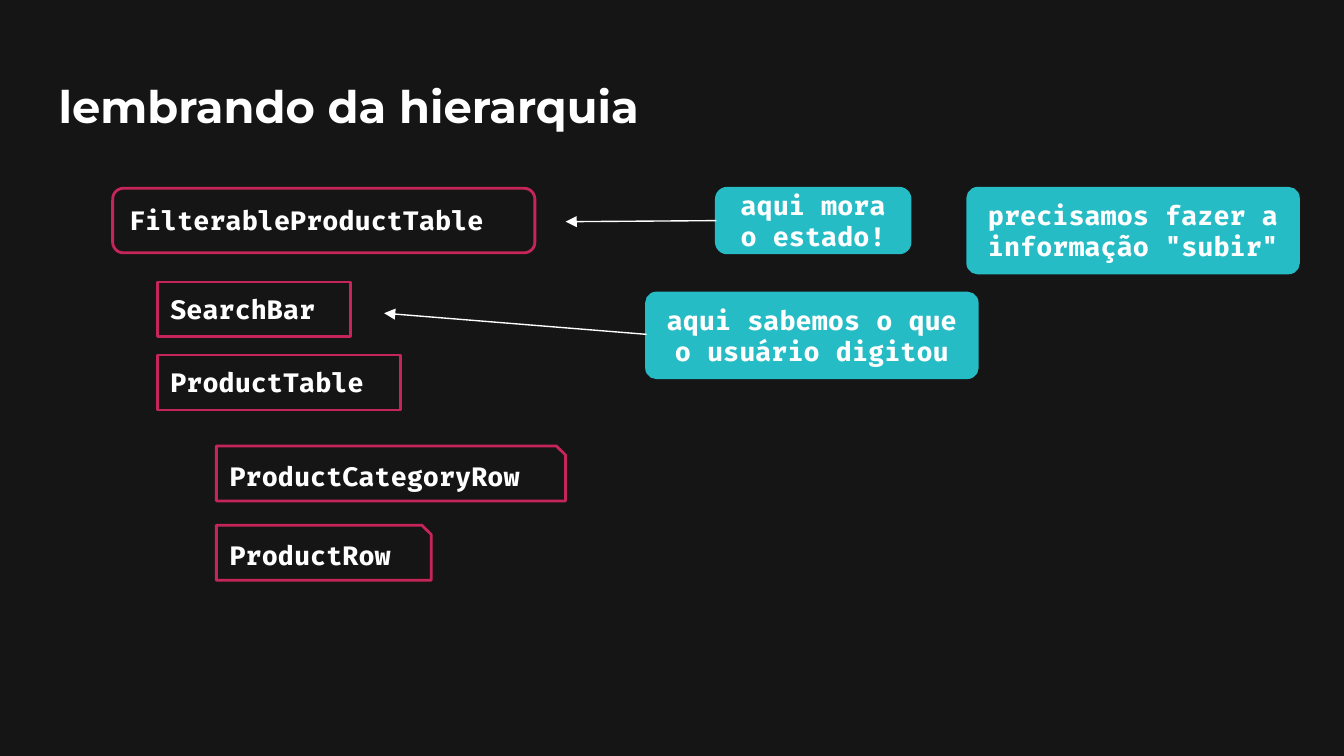
import pptx
import pptx.util
import pptx.dml.color
import pptx.enum.shapes
import pptx.enum.text
import pptx.oxml.ns
from lxml import etree

Cm, Pt = pptx.util.Cm, pptx.util.Pt
RGBColor = pptx.dml.color.RGBColor
SHAPE = pptx.enum.shapes.MSO_SHAPE
ALIGN = pptx.enum.text.PP_ALIGN
ANCHOR = pptx.enum.text.MSO_ANCHOR

BACKGROUND = RGBColor(0x15, 0x15, 0x15)
WHITE = RGBColor(0xFF, 0xFF, 0xFF)
PINK = RGBColor(0xC6, 0x25, 0x5A)
TEAL = RGBColor(0x25, 0xBC, 0xC6)

TITLE = "lembrando da hierarquia"
TITLE_BOX = (0.86, 1.24, 23.67, 1.6)
TITLE_FONT = {"name": "Montserrat", "size": Pt(24), "bold": True}
CODE_FONT = {"name": "Fira Code", "size": Pt(14), "bold": True}

TOP_ROW = 3.56
LEVEL_LEFT = (2.13, 2.97, 4.09)
LEVEL_SHAPE = (SHAPE.ROUNDED_RECTANGLE, SHAPE.RECTANGLE, SHAPE.SNIP_1_RECTANGLE)
LEVEL_HEIGHT = (1.22, 1.04, 1.04)

# name, level in the hierarchy, top, width
COMPONENTS = [
    ("FilterableProductTable", 0, TOP_ROW, 7.98),
    ("SearchBar", 1, 5.33, 3.66),
    ("ProductTable", 1, 6.71, 4.6),
    ("ProductCategoryRow", 2, 8.43, 6.6),
    ("ProductRow", 2, 9.93, 4.06),
]
# text, box, corner radius as a share of the height
NOTES = [
    ("aqui mora o estado!", (13.54, TOP_ROW, 3.66, 1.22), 0.167),
    ("aqui sabemos o que o usuário digitou", (12.22, 5.54, 6.25, 1.6), 0.117),
    ('precisamos fazer a informação "subir"', (18.29, TOP_ROW, 6.25, 1.6), 0.117),
]
# from x, from y, to x, to y
ARROWS = [(13.54, 4.17, 10.69, 4.19), (12.22, 6.32, 7.26, 5.92)]


def write_text(shape, text, font, alignment, anchor):
    frame = shape.text_frame
    frame_format = {"word_wrap": True, "vertical_anchor": anchor}
    for side in ("left", "top", "right", "bottom"):
        frame_format[f"margin_{side}"] = Cm(0.25)
    for name, value in frame_format.items():
        setattr(frame, name, value)
    paragraph = frame.paragraphs[0]
    paragraph.alignment = alignment
    run = paragraph.add_run()
    run.text = text
    for name, value in font.items():
        setattr(run.font, name, value)
    run.font.color.rgb = WHITE


def add_box(slide, kind, box, text, line_color, fill_color=None,
            alignment=ALIGN.LEFT, corner=0.167):
    shape = slide.shapes.add_shape(kind, *map(Cm, box))
    shape.shadow.inherit = False
    if fill_color is None:
        shape.fill.background()
    else:
        shape.fill.solid()
        shape.fill.fore_color.rgb = fill_color
    shape.line.color.rgb = line_color
    shape.line.width = Pt(1.5)
    if len(shape.adjustments):
        shape.adjustments[0] = corner
    write_text(shape, text, CODE_FONT, alignment, ANCHOR.MIDDLE)


def add_arrow(slide, points):
    connector = slide.shapes.add_connector(
        pptx.enum.shapes.MSO_CONNECTOR.STRAIGHT, *map(Cm, points))
    connector.line.color.rgb = WHITE
    connector.line.width = Pt(0.75)
    qn = pptx.oxml.ns.qn
    properties = connector.element.spPr
    etree.SubElement(properties.find(qn("a:ln")), qn("a:tailEnd"), type="triangle")
    etree.SubElement(properties, qn("a:effectLst"))


def main():
    presentation = pptx.Presentation()
    presentation.slide_width = Cm(25.4)
    presentation.slide_height = Cm(14.29)
    slide = presentation.slides.add_slide(presentation.slide_layouts[6])
    slide.background.fill.solid()
    slide.background.fill.fore_color.rgb = BACKGROUND

    title = slide.shapes.add_textbox(*map(Cm, TITLE_BOX))
    write_text(title, TITLE, TITLE_FONT, ALIGN.LEFT, ANCHOR.TOP)
    for name, level, top, width in COMPONENTS:
        box = (LEVEL_LEFT[level], top, width, LEVEL_HEIGHT[level])
        add_box(slide, LEVEL_SHAPE[level], box, name, PINK)
    for text, box, corner in NOTES:
        add_box(slide, SHAPE.ROUNDED_RECTANGLE, box, text, TEAL, TEAL,
                ALIGN.CENTER, corner)
    for points in ARROWS:
        add_arrow(slide, points)
    presentation.save("out.pptx")


if __name__ == "__main__":
    main()
